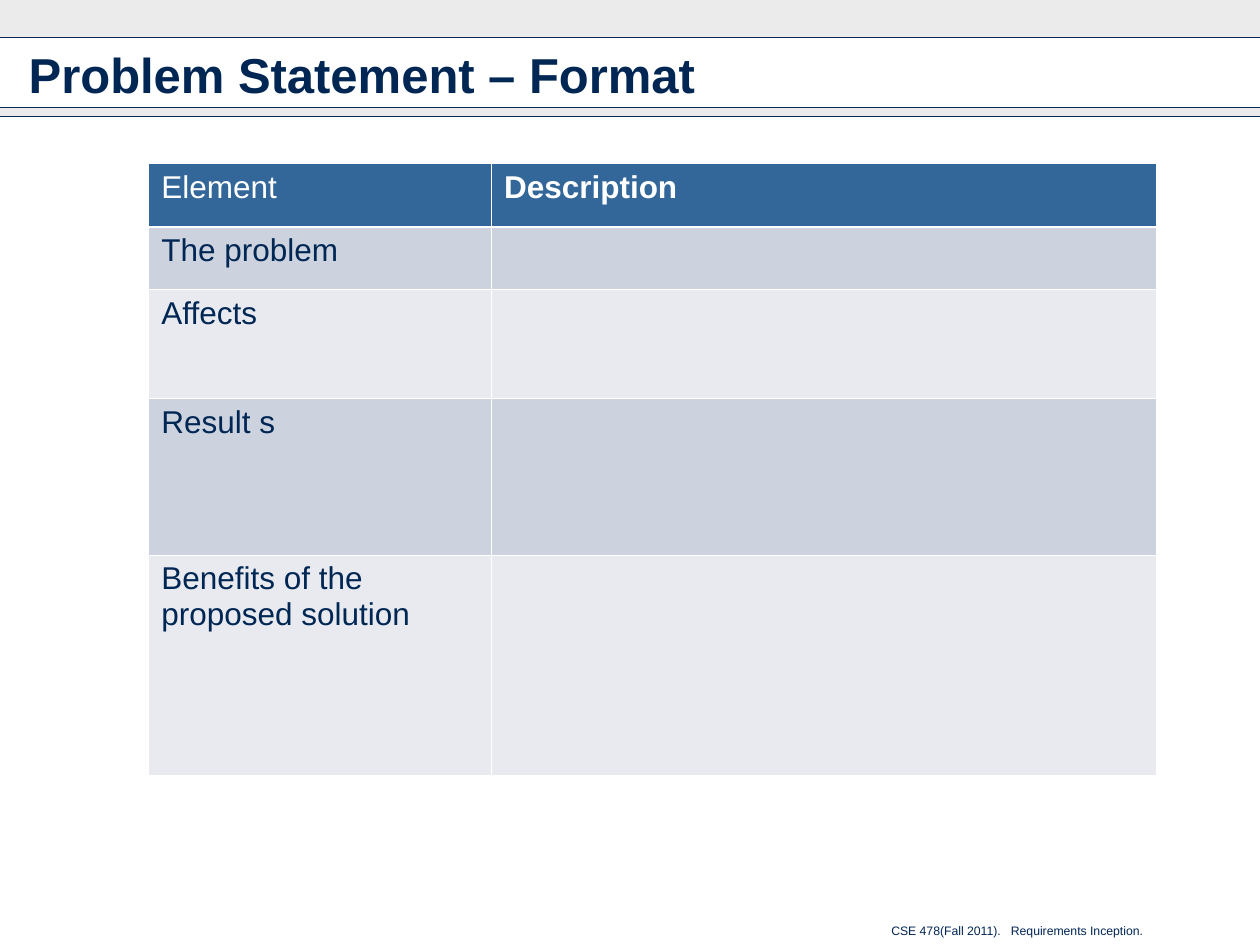
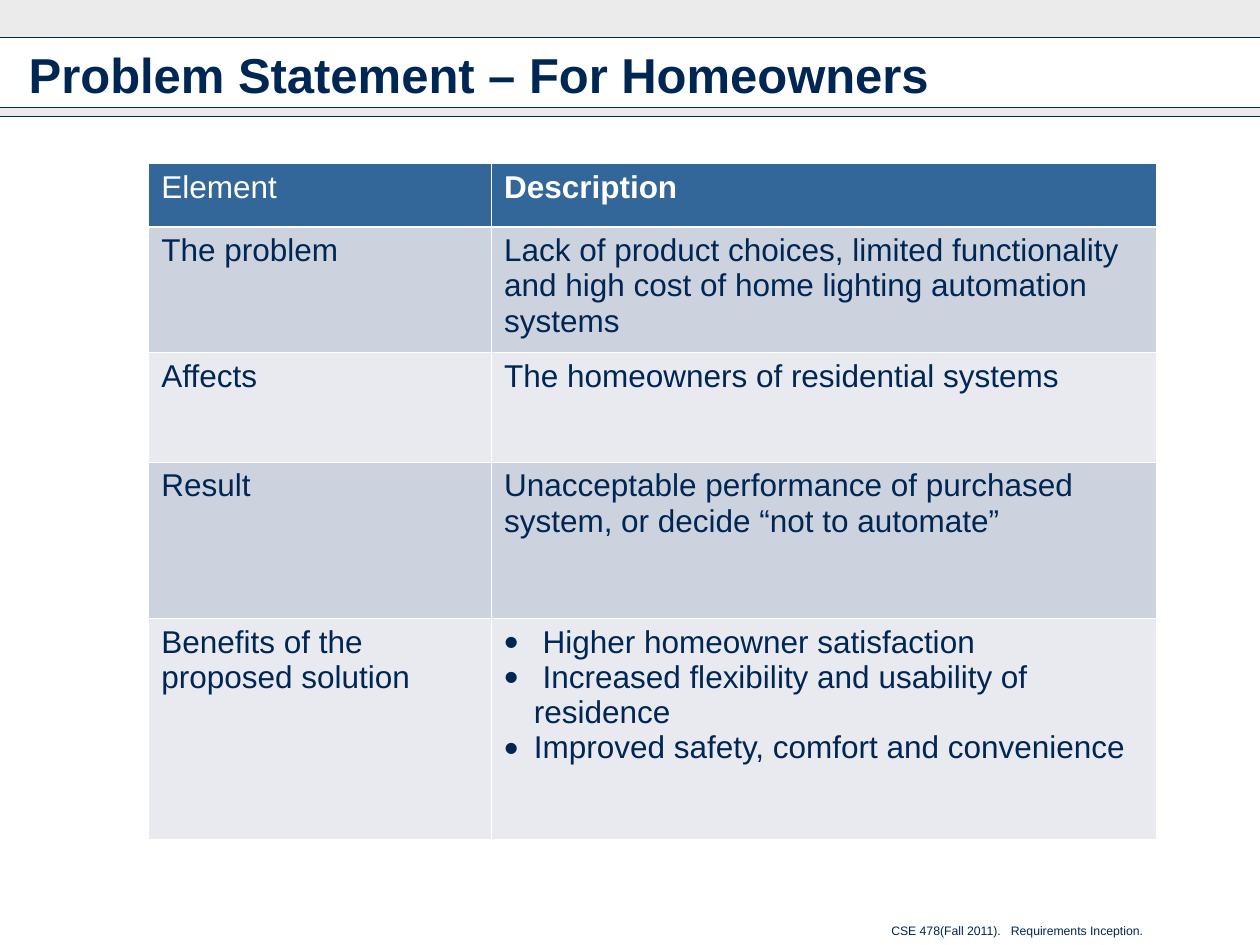
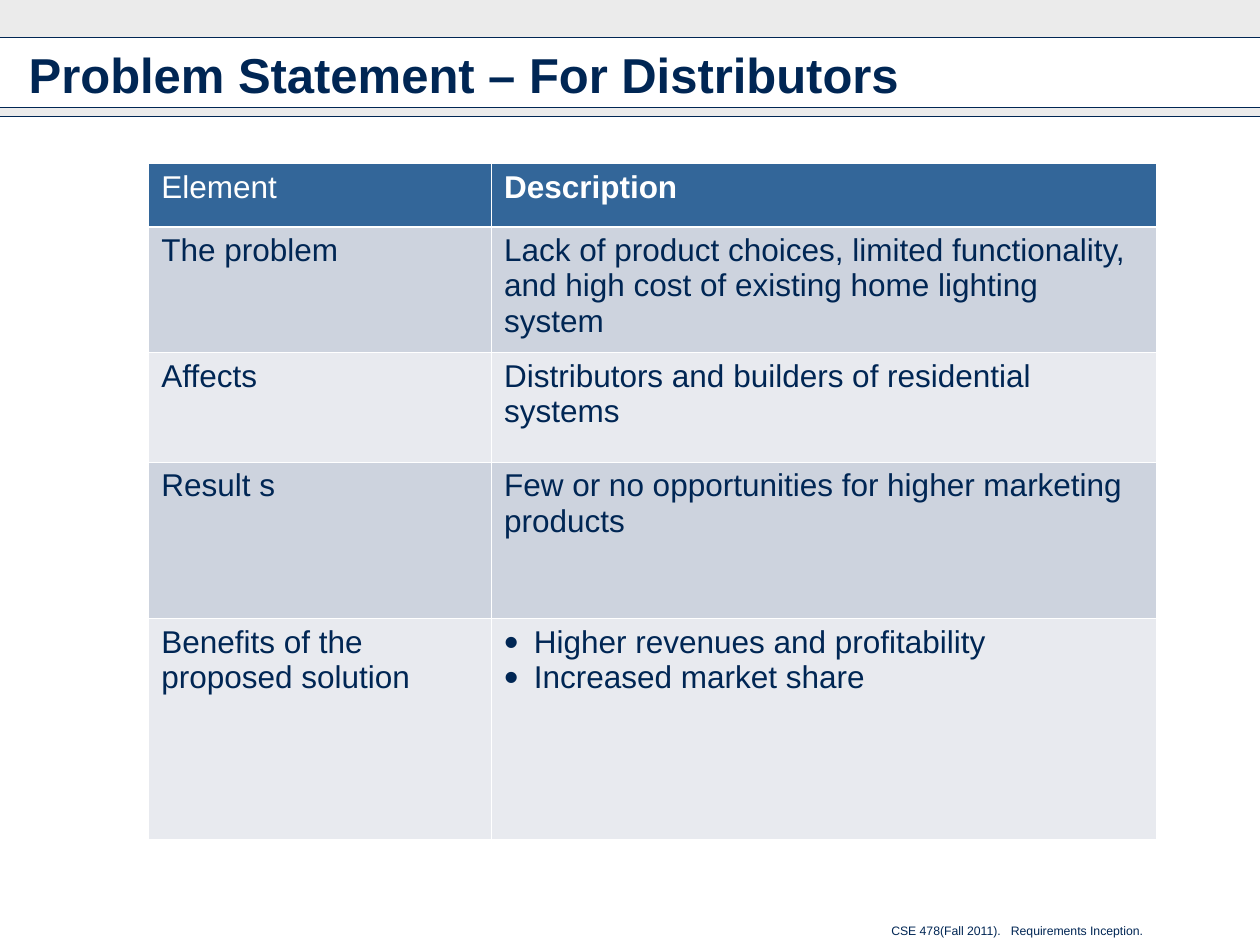
from lxml import etree
from pptx import Presentation
from pptx import util as u
from pptx.dml.color import RGBColor
from pptx.enum import shapes, text
from pptx.oxml.ns import qn

COLOURS = {
    "navy": "002654", "band": "CDCDCD", "header": "336699",
    "odd row": "CDD3DE", "even row": "E8EAEF", "white": "FFFFFF",
}
FONT = "Arial"
PAGE_WIDTH, PAGE_HEIGHT = 25.4, 19.05

# Boxes are left, top, width, height in cm
HEADER_BOX = (0, 0, PAGE_WIDTH, 2.35)
FOOTER_BOX = (7.72, 18.49, 15.57, 0.56)
TABLE_BOX = (3, 3.3, 20.32, None)
COLUMN_SHARES = (0.34, 0.66)
THIN, THICK = 0.45, 1.47

LACK = "Lack of product choices, limited functionality"
STATEMENTS = [
    {"title": "Format", "problem height": 1.27, "result": "Result s",
     "descriptions": ["", "", "", ""]},
    {"title": "For Homeowners", "problem height": 2.54, "result": "Result",
     "descriptions": [
         LACK + " and high cost of home lighting automation systems",
         "The homeowners of residential systems",
         "Unacceptable performance of purchased system, "
         "or decide “not to automate”",
         [" Higher homeowner satisfaction",
          " Increased flexibility and usability of residence",
          "Improved safety, comfort and convenience"]]},
    {"title": "For Distributors", "problem height": 2.54, "result": "Result s",
     "descriptions": [
         LACK + ", and high cost of existing home lighting system",
         "Distributors and builders of residential systems",
         "Few or no opportunities for higher marketing products",
         ["Higher revenues and profitability", "Increased market share"]]},
]


def colour(name):
    return RGBColor.from_string(COLOURS[name])


def add_child(parent, tag, **attributes):
    return etree.SubElement(parent, qn(tag), attributes)


def add_bullet(para):
    properties = para._p.get_or_add_pPr()
    indent = u.Cm(0.6)
    properties.set("marL", str(indent))
    properties.set("indent", str(-indent))
    bullet_colour = add_child(properties, "a:buClr")
    add_child(bullet_colour, "a:srgbClr", val=COLOURS["navy"])
    add_child(properties, "a:buSzPct", val="130000")
    add_child(properties, "a:buFont", typeface=FONT)
    add_child(properties, "a:buChar", char="•")


def write_text(frame, content, size=18, ink="navy", bold=False,
               align=text.PP_ALIGN.LEFT):
    """Write a string as one paragraph, or a list as bullets."""
    bulleted = isinstance(content, list)
    for index, line in enumerate(content if bulleted else [content]):
        para = frame.add_paragraph() if index else frame.paragraphs[0]
        para.alignment = align
        if bulleted:
            add_bullet(para)
        para.font.size = u.Pt(size)
        if line:
            span = para.add_run()
            span.text = line
            span.font.name = FONT
            span.font.size = u.Pt(size)
            span.font.bold = bold
            span.font.color.rgb = colour(ink)


def add_text_box(page, box, content, anchor=text.MSO_ANCHOR.TOP, **style):
    frame = page.shapes.add_textbox(*map(u.Cm, box)).text_frame
    frame.word_wrap = True
    frame.vertical_anchor = anchor
    write_text(frame, content, **style)


def add_band(page, left, top, width, height):
    band = page.shapes.add_shape(shapes.MSO_SHAPE.RECTANGLE,
                                 *map(u.Cm, (left, top, width, height)))
    band.shadow.inherit = False
    band.line.fill.background()
    band.fill.solid()
    band.fill.fore_color.rgb = colour("band")
    shade = band._element.spPr.find(".//" + qn("a:srgbClr"))
    add_child(shade, "a:alpha", val="40000")


def add_rule(page, left, top, width):
    rule = page.shapes.add_connector(
        shapes.MSO_CONNECTOR.STRAIGHT,
        *map(u.Cm, (left, top, left + width, top)))
    rule.line.color.rgb = colour("navy")
    rule.line.width = u.Pt(0.75)
    add_child(rule._element.spPr, "a:effectLst")


def add_header(page, box, title):
    left, top, width, height = box
    # Grey bands and the rules along them
    add_band(page, left, top, width, 0.76)
    add_band(page, left, top + 2.16, width, height - 2.16)
    for offset in (0.76, 2.16, height):
        add_rule(page, left, top + offset, width)
    # Title
    margin = 0.33
    add_text_box(page, (left + margin, top + 0.66, width - 2 * margin, 1.68),
                 title, anchor=text.MSO_ANCHOR.MIDDLE, size=28, bold=True)


def add_footer(page, box):
    add_text_box(page, box, "CSE 478(Fall 2011).   Requirements Inception.",
                 size=7, align=text.PP_ALIGN.RIGHT)


def style_cell(cell, fill, top=THIN, bottom=THIN):
    properties = cell._tc.get_or_add_tcPr()
    for side, width in zip("LRTB", (THIN, THIN, top, bottom)):
        border = add_child(properties, "a:ln" + side, w=str(u.Pt(width)))
        solid = add_child(border, "a:solidFill")
        add_child(solid, "a:srgbClr", val=COLOURS["white"])
    cell.fill.solid()
    cell.fill.fore_color.rgb = colour(fill)


def add_statement_table(page, box, statement):
    left, top, width, _ = box
    elements = ["The problem", "Affects", statement["result"],
                "Benefits of the proposed solution"]
    rows = [("Element", "Description"),
            *zip(elements, statement["descriptions"])]
    heights = (1.27, statement["problem height"], 2.2, 3.15, 4.45)
    table = page.shapes.add_table(
        len(rows), len(COLUMN_SHARES),
        *map(u.Cm, (left, top, width, sum(heights)))).table
    table.horz_banding = False

    for column, share in zip(table.columns, COLUMN_SHARES):
        column.width = u.Cm(width * share)
    for row, height in zip(table.rows, heights):
        row.height = u.Cm(height)

    for row_index, contents in enumerate(rows):
        is_header = row_index == 0
        fill = "header" if is_header else (
            "odd row" if row_index % 2 else "even row")
        for column_index, content in enumerate(contents):
            cell = table.cell(row_index, column_index)
            style_cell(cell, fill, top=THICK if row_index == 1 else THIN,
                       bottom=THICK if is_header else THIN)
            write_text(cell.text_frame, content,
                       ink="white" if is_header else "navy",
                       bold=is_header and column_index == 1)


def add_statement_page(deck, statement):
    page = deck.slides.add_slide(deck.slide_layouts[6])
    add_footer(page, FOOTER_BOX)
    add_header(page, HEADER_BOX, "Problem Statement – " + statement["title"])
    add_statement_table(page, TABLE_BOX, statement)


def main():
    deck = Presentation()
    deck.slide_width = u.Cm(PAGE_WIDTH)
    deck.slide_height = u.Cm(PAGE_HEIGHT)
    for statement in STATEMENTS:
        add_statement_page(deck, statement)
    deck.save("out.pptx")


if __name__ == "__main__":
    main()
